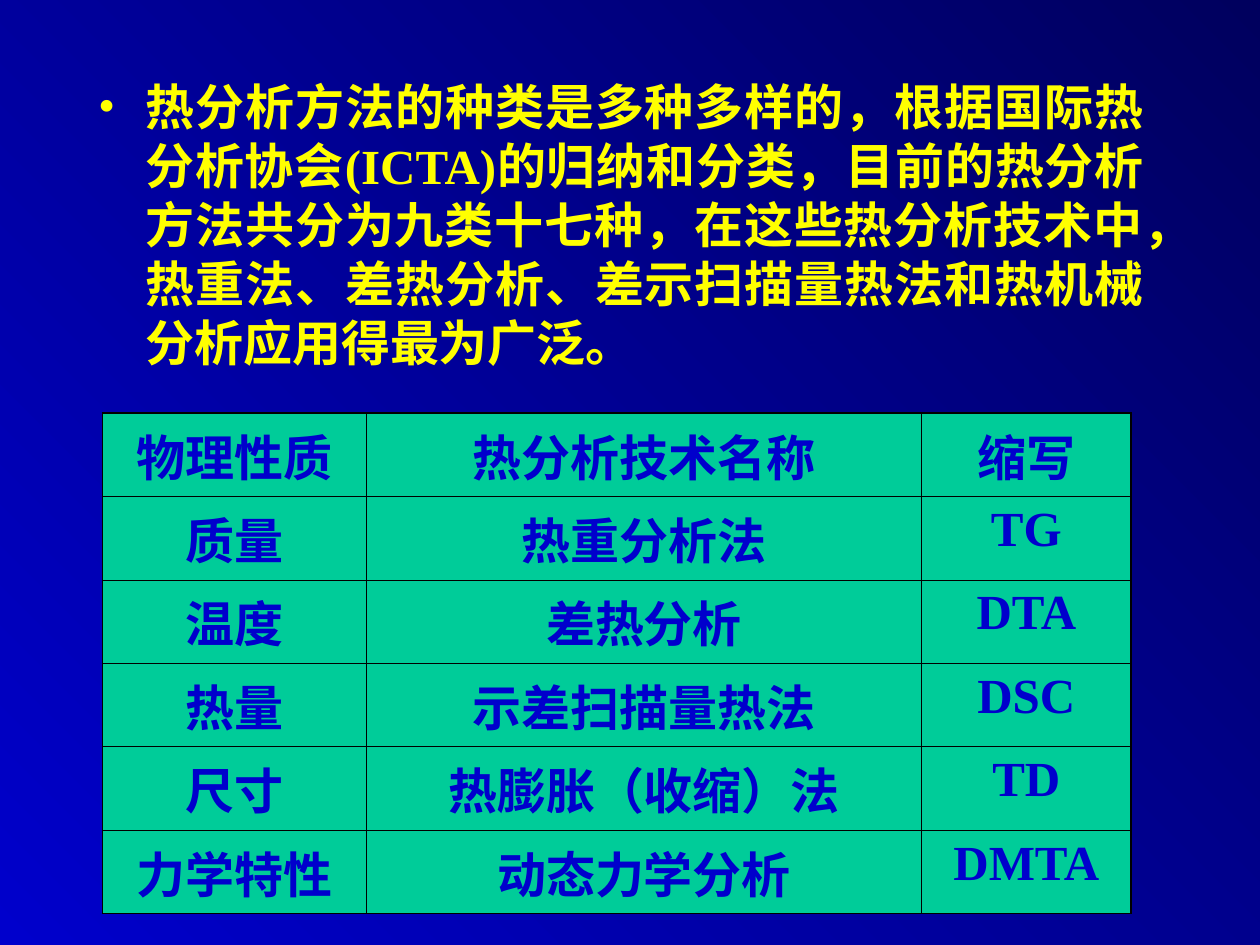
from pptx import Presentation
from pptx.dml.color import RGBColor
from pptx.enum.text import PP_ALIGN
from pptx.oxml.ns import qn
from pptx.util import Pt
from lxml import etree

CENTER, JUSTIFY = PP_ALIGN.CENTER, PP_ALIGN.JUSTIFY
FONT = "Times New Roman"
COLORS = {
    "light": "0000CC",
    "dark": "00005E",
    "body": "FFFF00",
    "cell": "00CC99",
    "ink": "0000CC",
    "line": "000000",
}
THIN, THICK = Pt(0.45), Pt(1.08)


def style(para, color, align):
    para.alignment = align
    font = para.font
    font.name, font.size, font.bold = FONT, Pt(28), True
    font.color.rgb = RGBColor.from_string(COLORS[color])


def border(cell, side, width):
    props = cell._tc.get_or_add_tcPr()
    line = etree.SubElement(props, qn("a:ln" + side), w=str(width))
    fill = etree.SubElement(line, qn("a:solidFill"))
    etree.SubElement(fill, qn("a:srgbClr"), val=COLORS["line"])


prs = Presentation()
prs.slide_width, prs.slide_height = Pt(720), Pt(540)
slide = prs.slides.add_slide(prs.slide_layouts[6])

# Background, light at lower left to dark at upper right
back = slide.background.fill
back.gradient()
back.gradient_angle = 45
for stop, name in zip(back.gradient_stops, ("light", "dark")):
    stop.color.rgb = RGBColor.from_string(COLORS[name])

# Bulleted paragraph
frame = slide.shapes.add_textbox(Pt(49), Pt(40.3), Pt(612), Pt(406)).text_frame
frame.word_wrap = True
para = frame.paragraphs[0]
para.text = (
    "热分析方法的种类是多种多样的，根据国际热分析协会(ICTA)的归纳和分类，"
    "目前的热分析方法共分为九类十七种，在这些热分析技术中，热重法、差热分析、"
    "差示扫描量热法和热机械分析应用得最为广泛。"
)
props = para._p.get_or_add_pPr()
props.set("marL", str(Pt(27)))
props.set("indent", str(-Pt(27)))
tint = etree.SubElement(props, qn("a:buClr"))
etree.SubElement(tint, qn("a:srgbClr"), val=COLORS["body"])
etree.SubElement(props, qn("a:buFont"), typeface=FONT)
etree.SubElement(props, qn("a:buChar"), char="•")
style(para, "body", JUSTIFY)

# Table of techniques
ROWS = [
    ("物理性质", "热分析技术名称", "缩写"),
    ("质量", "热重分析法", "TG"),
    ("温度", "差热分析", "DTA"),
    ("热量", "示差扫描量热法", "DSC"),
    ("尺寸", "热膨胀（收缩）法", "TD"),
    ("力学特性", "动态力学分析", "DMTA"),
]
WIDTHS = (151, 317, 120)
HIGH = 47.7
table = slide.shapes.add_table(
    len(ROWS), len(WIDTHS), Pt(58.5), Pt(236), Pt(sum(WIDTHS)), Pt(HIGH * len(ROWS))
).table
table.first_row = table.horz_banding = False
for col, width in zip(table.columns, WIDTHS):
    col.width = Pt(width)

for r, row in enumerate(ROWS):
    table.rows[r].height = Pt(HIGH)
    for c, text in enumerate(row):
        cell = table.cell(r, c)
        outer = {
            "L": c == 0,
            "R": c == len(WIDTHS) - 1,
            "T": r == 0,
            "B": r == len(ROWS) - 1,
        }
        for side, edge in outer.items():
            border(cell, side, THICK if edge else THIN)
        cell.fill.solid()
        cell.fill.fore_color.rgb = RGBColor.from_string(COLORS["cell"])
        cell.text = text
        style(cell.text_frame.paragraphs[0], "ink", CENTER)

prs.save("out.pptx")
